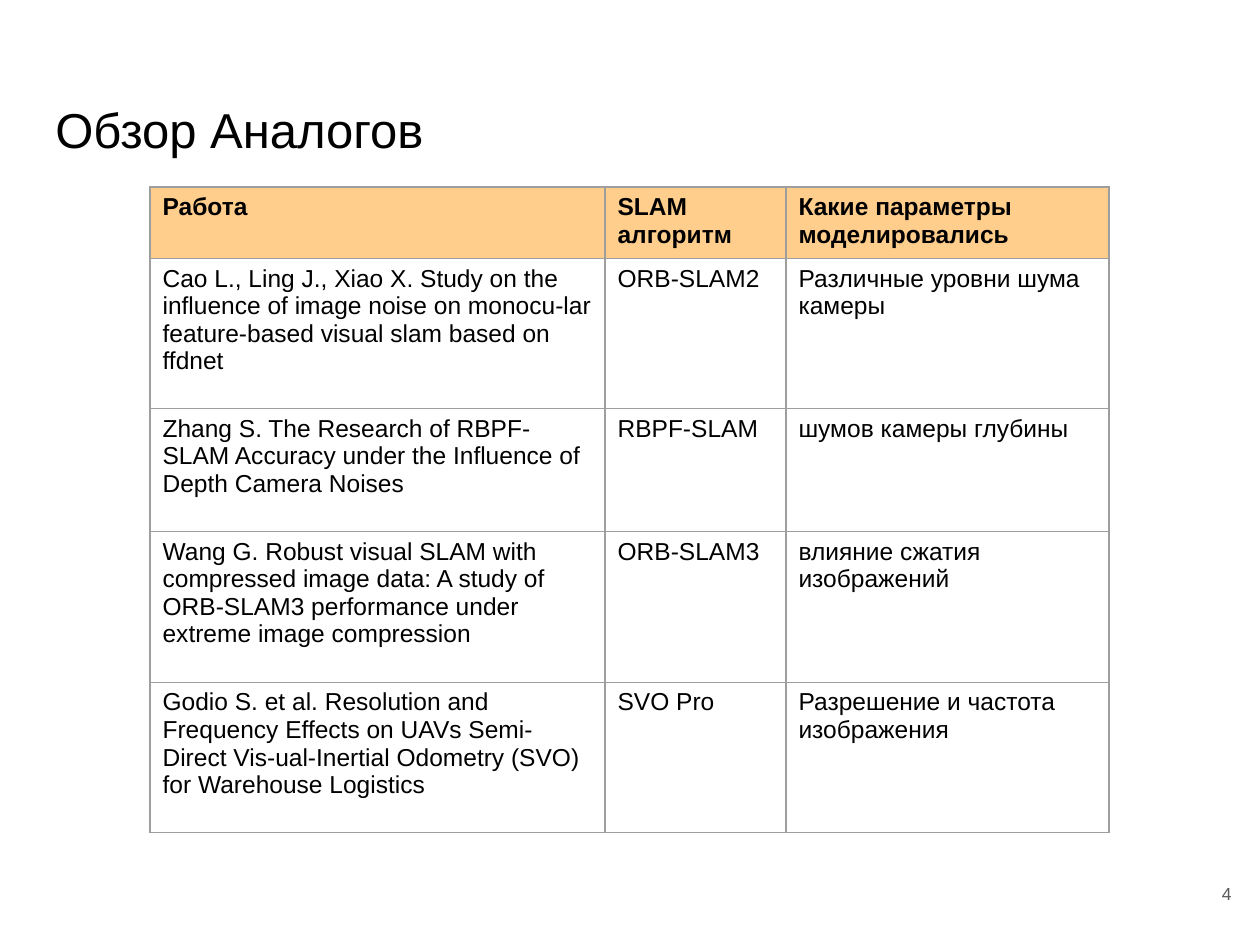
from lxml.etree import SubElement
from pptx import Presentation
from pptx.dml.color import RGBColor
from pptx.enum.text import MSO_ANCHOR, PP_ALIGN
from pptx.oxml.ns import qn
from pptx.util import Emu, Pt

BLACK = RGBColor(0x00, 0x00, 0x00)
GRAY = RGBColor(0x59, 0x59, 0x59)
BORDER = RGBColor(0x9E, 0x9E, 0x9E)
PEACH = RGBColor(0xFF, 0xCD, 0x8C)

HEADER = ["Работа", "SLAM алгоритм", "Какие параметры моделировались"]
WORKS = [
    ["Cao L., Ling J., Xiao X. Study on the influence of image noise on "
     "monocu-lar feature-based visual slam based on ffdnet",
     "ORB-SLAM2", "Различные уровни шума камеры"],
    ["Zhang S. The Research of RBPF-SLAM Accuracy under the Influence of "
     "Depth Camera Noises",
     "RBPF-SLAM", "шумов камеры глубины"],
    ["Wang G. Robust visual SLAM with compressed image data: A study of "
     "ORB-SLAM3 performance under extreme image compression",
     "ORB-SLAM3", "влияние сжатия изображений"],
    ["Godio S. et al. Resolution and Frequency Effects on UAVs Semi-Direct "
     "Vis-ual-Inertial Odometry (SVO) for Warehouse Logistics",
     "SVO Pro", "Разрешение и частота изображения"],
]


def px(n):
    """Convert px (126 to the inch) to EMU."""
    return Emu(round(n * 914400 / 126))


class SlideBuilder:
    font = "Arial"

    def __init__(self, slide):
        self.s = slide

    def style(self, p, size, color, bold=False):
        p.font.name = self.font
        p.font.size = Pt(size)
        p.font.bold = bold
        p.font.color.rgb = color

    def text(self, x, y, w, h, text, size, color,
             align=PP_ALIGN.LEFT, anchor=MSO_ANCHOR.TOP):
        tf = self.s.shapes.add_textbox(px(x), px(y), px(w), px(h)).text_frame
        tf.word_wrap = True
        tf.vertical_anchor = anchor
        tf.margin_left = tf.margin_right = Pt(7.2)
        tf.margin_top = tf.margin_bottom = Pt(7.2)
        p = tf.paragraphs[0]
        p.text = text
        p.alignment = align
        self.style(p, size, color)

    def borders(self, cell):
        tcPr = cell._tc.get_or_add_tcPr()
        for side in ("lnL", "lnR", "lnT", "lnB"):
            ln = SubElement(tcPr, qn("a:" + side), w=str(Pt(0.75)))
            fill = SubElement(ln, qn("a:solidFill"))
            SubElement(fill, qn("a:srgbClr"), val=str(BORDER))

    def table(self, x, y, widths, heights, rows, size):
        table = self.s.shapes.add_table(
            len(rows), len(widths), px(x), px(y),
            px(sum(widths)), px(sum(heights))).table
        table.first_row = table.horz_banding = False
        for column, width in zip(table.columns, widths):
            column.width = px(width)
        for i, (row, height) in enumerate(zip(rows, heights)):
            table.rows[i].height = px(height)
            for j, text in enumerate(row):
                cell = table.cell(i, j)
                self.borders(cell)
                if i == 0:
                    cell.fill.solid()
                    cell.fill.fore_color.rgb = PEACH
                else:
                    cell.fill.background()
                p = cell.text_frame.paragraphs[0]
                p.text = text
                self.style(p, size, BLACK, bold=i == 0)


def main():
    prs = Presentation()
    prs.slide_width, prs.slide_height = px(1260), px(945)
    b = SlideBuilder(prs.slides.add_slide(prs.slide_layouts[6]))

    # Title
    b.text(43, 87, 1174, 105, "Обзор Аналогов", 28, BLACK)

    # Page number
    b.text(1168, 857, 76, 72, "4", 10, GRAY,
           PP_ALIGN.RIGHT, MSO_ANCHOR.MIDDLE)

    # Related works
    b.table(150, 187, [455, 181, 323], [68, 150, 123, 151, 150],
            [HEADER] + WORKS, 14)

    prs.save("out.pptx")


if __name__ == "__main__":
    main()
